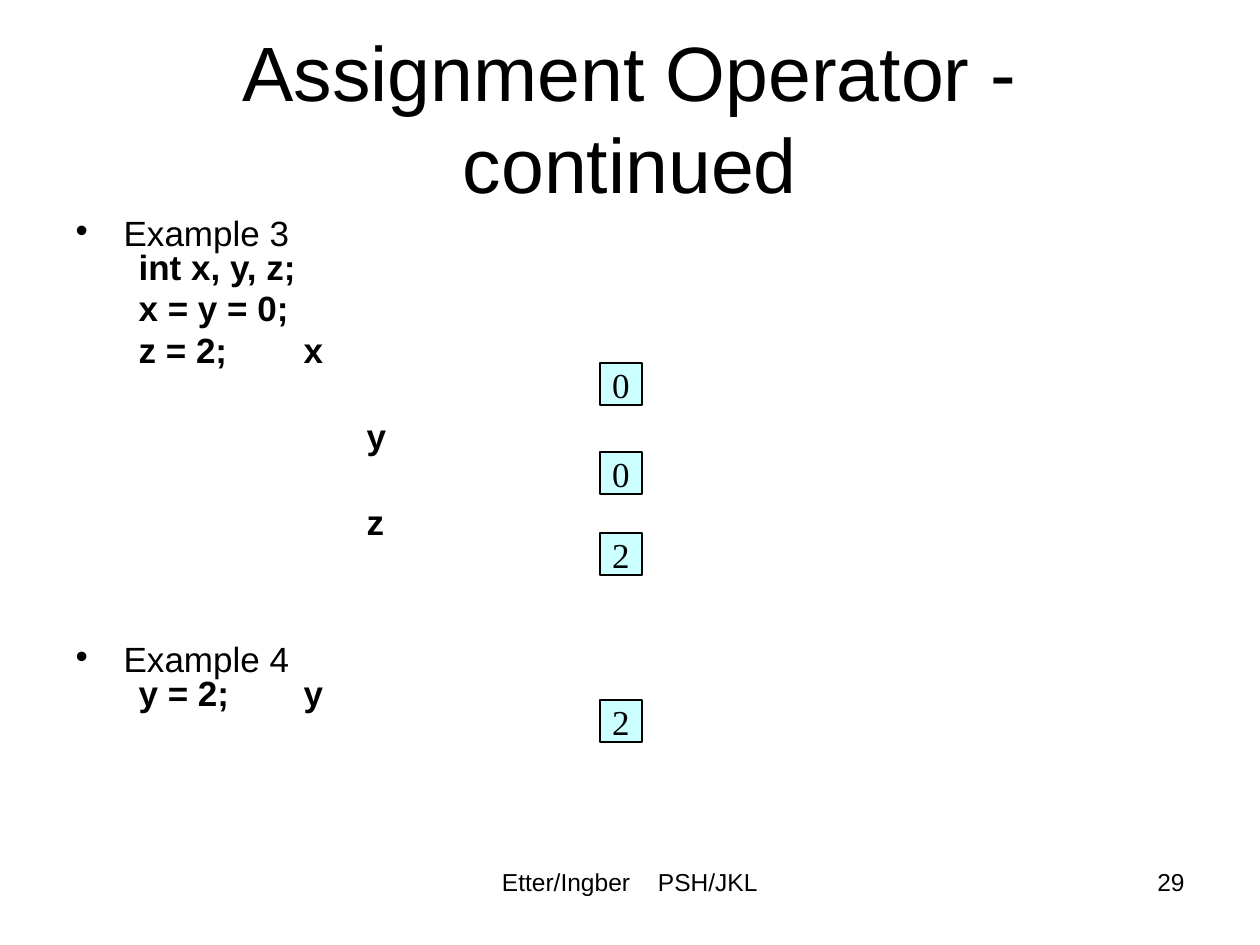
from lxml.etree import SubElement
from pptx import Presentation
from pptx.dml.color import RGBColor
from pptx.enum.shapes import MSO_SHAPE as Shape
from pptx.enum.text import MSO_ANCHOR as Anchor, MSO_AUTO_SIZE as AutoSize, PP_ALIGN as Align
from pptx.oxml.ns import qn
from pptx.util import Pt

EMU_PER_PX = 914400 / 126


def px(length):
    return round(length * EMU_PER_PX)


def color(value):
    return RGBColor.from_string(value)


class SlideBuilder:
    sans = "Arial"
    serif = "Times New Roman"
    ink = "000000"
    cell_fill = "CCFFFF"
    cell_size = 42

    def __init__(self, deck):
        self.page = deck.slides.add_slide(deck.slide_layouts[1])

    def place(self, box, left, top, width, height):
        box.left, box.top, box.width, box.height = map(px, (left, top, width, height))

    def style(self, para, size, name, bold=False):
        font = para.font
        font.size, font.name, font.bold = Pt(size), name, bold
        font.color.rgb = color(self.ink)

    def tabs(self, para, stops):
        tab_list = SubElement(para._p.get_or_add_pPr(), qn("a:tabLst"))
        for stop in stops:
            SubElement(tab_list, qn("a:tab"), pos=str(px(stop)), algn="l")

    def title(self, text, *area):
        box = self.page.shapes.title
        self.place(box, *area)
        frame = box.text_frame
        frame.text = text
        frame.auto_size = AutoSize.NONE
        frame.vertical_anchor = Anchor.MIDDLE
        para = frame.paragraphs[0]
        para.alignment = Align.CENTER
        self.style(para, 44, self.sans)

    def body(self, lines, *area):
        box = self.page.placeholders[1]
        self.place(box, *area)
        frame = box.text_frame
        frame.auto_size = AutoSize.NONE
        for index, (text, level, spacing, before) in enumerate(lines):
            para = frame.paragraphs[0] if index == 0 else frame.add_paragraph()
            para.add_run().text = text
            para.level = level
            para.line_spacing = spacing
            para.space_before = Pt(before)
            props = para._p.get_or_add_pPr()
            margin, indent = (102, -39) if level else (48, -48)
            props.set("marL", str(px(margin)))
            props.set("indent", str(px(indent)))
            if level:
                SubElement(props, qn("a:buNone"))
            else:
                SubElement(props, qn("a:buChar"), char="•")
            self.tabs(para, range(0, 1008, 126))
            self.style(para, 20, self.sans, bold=level == 1)

    def label(self, text, align, *area, inset=13, stops=()):
        box = self.page.shapes.add_textbox(*map(px, area))
        frame = box.text_frame
        frame.word_wrap = True
        frame.margin_left = px(inset)
        para = frame.paragraphs[0]
        para.add_run().text = text
        para.alignment = align
        self.tabs(para, stops)
        self.style(para, 14, self.sans)

    def memory_cell(self, value, left, top):
        side = px(self.cell_size)
        box = self.page.shapes.add_shape(Shape.RECTANGLE, px(left), px(top), side, side)
        box.shadow.inherit = False
        box.fill.solid()
        box.fill.fore_color.rgb = color(self.cell_fill)
        box.line.color.rgb = color(self.ink)
        box.line.width = Pt(0.75)
        frame = box.text_frame
        frame.word_wrap = False
        frame.vertical_anchor = Anchor.MIDDLE
        para = frame.paragraphs[0]
        para.add_run().text = value
        para.alignment = Align.CENTER
        self.style(para, 20, self.serif)


def main():
    deck = Presentation()
    deck.slide_width, deck.slide_height = px(1260), px(945)
    slide = SlideBuilder(deck)
    slide.title("Assignment Operator - continued", 63, 38, 1134, 158)
    lines = [
        ("Example 3", 0, 0.6, 5),
        ("int x, y, z;", 1, 0.6, 5),
        ("x = y = 0;", 1, 0.8, 5),
        ("z = 2;\t\tx", 1, 0.8, 5),
        ("\t\t\t\ty", 1, 0.8, 30),
        ("\t\t\t\tz", 1, 0.8, 30),
        ("Example 4", 0, 0.6, 63),
        ("y = 2;\t\ty", 1, 0.6, 5),
    ]
    slide.body(lines, 63, 220, 1134, 624)
    for value, top in (("0", 363), ("0", 452), ("2", 533), ("2", 700)):
        slide.memory_cell(value, 600, top)
    slide.label("Etter/Ingber\tPSH/JKL", Align.LEFT, 431, 861, 399, 66, inset=71, stops=[156])
    slide.label("29", Align.RIGHT, 903, 861, 294, 66)
    deck.save("out.pptx")


if __name__ == "__main__":
    main()
